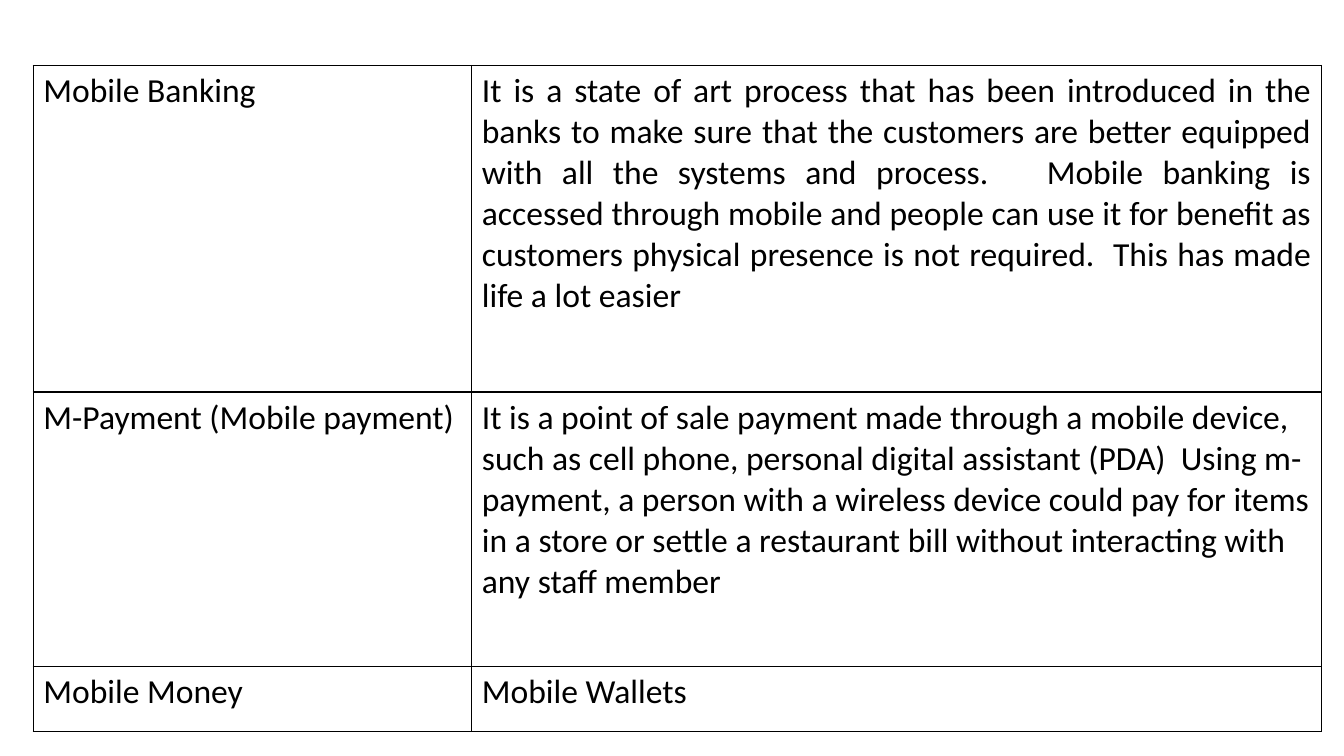
from dataclasses import dataclass

from lxml.etree import SubElement
from pptx import Presentation
from pptx.dml.color import RGBColor
from pptx.enum.text import PP_ALIGN as Align
from pptx.oxml.ns import qn
from pptx.table import _Cell as Cell
from pptx.util import Cm, Pt

BLACK = RGBColor(0, 0, 0)
FONT = "Calibri"
SIZE = Pt(24)
EDGE = Pt(1)
LEFT, TOP = Cm(0.84), Cm(1.65)
WIDTHS = [Cm(11.05), Cm(21.41)]


@dataclass
class Entry:
    term: str
    text: str
    height: Cm
    align: Align = Align.LEFT


ENTRIES = [
    Entry(
        "Mobile Banking",
        "It is a state of art process that has been introduced in the banks "
        "to make sure that the customers are better equipped with all the "
        "systems and process.   Mobile banking is accessed through mobile and "
        "people can use it for benefit as customers physical presence is not "
        "required.  This has made life a lot easier",
        Cm(8.23),
        Align.JUSTIFY,
    ),
    Entry(
        "M-Payment (Mobile payment)",
        "It is a point of sale payment made through a mobile device, such as "
        "cell phone, personal digital assistant (PDA)  Using m-payment, a "
        "person with a wireless device could pay for items in a store or "
        "settle a restaurant bill without interacting with any staff member",
        Cm(6.91),
    ),
    Entry("Mobile Money", "Mobile Wallets", Cm(1.65)),
]


def frame(cell: Cell) -> None:
    """Draw a thin line on all four sides of the cell."""
    props = cell._tc.get_or_add_tcPr()
    for side in ("lnL", "lnR", "lnT", "lnB"):
        line = SubElement(props, qn(f"a:{side}"), w=str(EDGE))
        fill = SubElement(line, qn("a:solidFill"))
        SubElement(fill, qn("a:srgbClr"), val=str(BLACK))


def write(cell: Cell, text: str, align: Align) -> None:
    frame(cell)
    cell.fill.background()
    para = cell.text_frame.paragraphs[0]
    para.alignment = align
    run = para.add_run()
    run.text = text
    font = run.font
    font.name, font.size, font.bold = FONT, SIZE, False
    font.color.rgb = BLACK


def main() -> None:
    deck = Presentation()
    deck.slide_width, deck.slide_height = Cm(33.87), Cm(19.05)
    slide = deck.slides.add_slide(deck.slide_layouts[6])
    high = sum(entry.height for entry in ENTRIES)
    table = slide.shapes.add_table(
        len(ENTRIES), len(WIDTHS), LEFT, TOP, sum(WIDTHS), high
    ).table
    table.first_row = table.horz_banding = False
    for col, width in zip(table.columns, WIDTHS):
        col.width = width
    for row, entry in zip(table.rows, ENTRIES):
        row.height = entry.height
        write(row.cells[0], entry.term, Align.LEFT)
        write(row.cells[1], entry.text, entry.align)
    deck.save("out.pptx")


if __name__ == "__main__":
    main()
